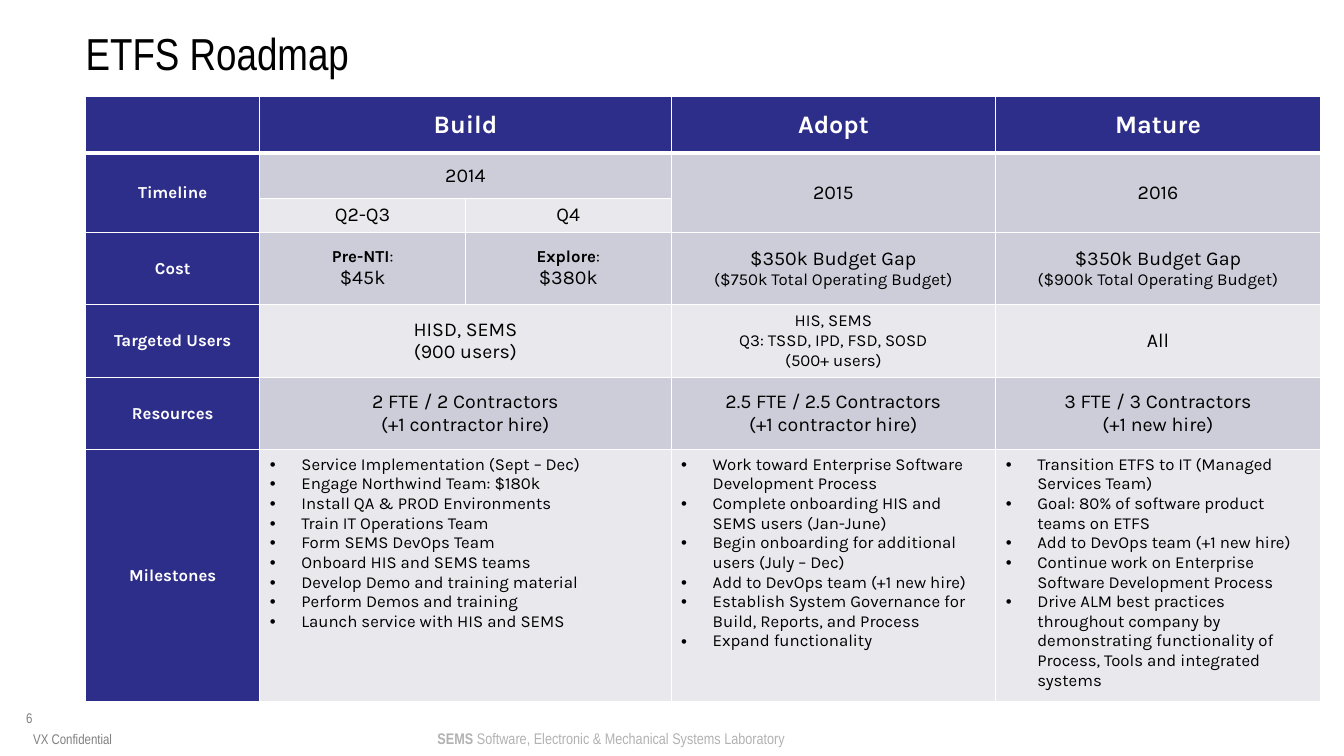
from lxml.etree import SubElement
from pptx import Presentation
from pptx.dml.color import RGBColor
from pptx.enum.text import MSO_ANCHOR, PP_ALIGN
from pptx.oxml.ns import qn
from pptx.util import Pt

NAVY = RGBColor(0x2D, 0x2D, 0x8A)
DARK = RGBColor(0xCD, 0xCD, 0xDA)
LIGHT = RGBColor(0xE8, 0xE8, 0xED)
WHITE = RGBColor(0xFF, 0xFF, 0xFF)
BLACK = RGBColor(0, 0, 0)
GRAY = RGBColor(0x80, 0x80, 0x80)
PALE = RGBColor(0xB2, 0xB2, 0xB2)
NARROW, KARLA = "Arial Narrow", "Karla"

COLS = [124.4, 146.9, 146.9, 231.9, 231.9]
ROWS = [40.3, 32.4, 21.6, 51.8, 51.8, 51.8, 159.1]
MERGES = [((0, 1), (0, 2)), ((1, 0), (2, 0)), ((1, 1), (1, 2)),
          ((1, 3), (2, 3)), ((1, 4), (2, 4)), ((4, 1), (4, 2)),
          ((5, 1), (5, 2)), ((6, 1), (6, 2))]

SMALL = {"size": 12}
STRONG = {"size": 12, "bold": True}


def cost(name, sum):
    return [[(name, STRONG), (":", SMALL)], sum]


def budget(total):
    return ["$350k Budget Gap", [(f"(${total}k Total Operating Budget)", SMALL)]]


HEADS = {
    (0, 1): "Build", (0, 3): "Adopt", (0, 4): "Mature",
    (1, 0): "Timeline", (3, 0): "Cost", (4, 0): "Targeted Users",
    (5, 0): "Resources", (6, 0): "Milestones",
}
FACTS = {
    (1, 1): ["2014"], (1, 3): ["2015"], (1, 4): ["2016"],
    (2, 1): ["Q2-Q3"], (2, 2): ["Q4"],
    (3, 1): cost("Pre-NTI", "$45k"),
    (3, 2): cost("Explore", "$380k"),
    (3, 3): budget(750),
    (3, 4): budget(900),
    (4, 1): ["HISD, SEMS", "(900 users)"],
    (4, 3): [[(line, SMALL)] for line in
             ("HIS, SEMS", "Q3: TSSD, IPD, FSD, SOSD", "(500+ users)")],
    (4, 4): ["All"],
    (5, 1): ["2 FTE / 2 Contractors", "(+1 contractor hire)"],
    (5, 3): ["2.5 FTE / 2.5 Contractors", "(+1 contractor hire)"],
    (5, 4): ["3 FTE / 3 Contractors", "(+1 new hire)"],
}
STEPS = {
    (6, 1): [
        "Service Implementation (Sept – Dec)",
        "Engage Northwind Team: $180k",
        "Install QA & PROD Environments",
        "Train IT Operations Team",
        "Form SEMS DevOps Team",
        "Onboard HIS and SEMS teams",
        "Develop Demo and training material",
        "Perform Demos and training",
        "Launch service with HIS and SEMS",
    ],
    (6, 3): [
        "Work toward Enterprise Software Development Process",
        "Complete onboarding HIS and SEMS users (Jan-June)",
        "Begin onboarding for additional users (July – Dec)",
        "Add to DevOps team (+1 new hire)",
        "Establish System Governance for Build, Reports, and Process",
        "Expand functionality",
    ],
    (6, 4): [
        "Transition ETFS to IT (Managed Services Team)",
        "Goal: 80% of software product teams on ETFS",
        "Add to DevOps team (+1 new hire)",
        "Continue work on Enterprise Software Development Process",
        "Drive ALM best practices throughout company by demonstrating "
        "functionality of Process, Tools and integrated systems",
    ],
}


def add_bullet(para):
    props = para._p.get_or_add_pPr()
    props.set("marL", str(Pt(22.5)))
    props.set("indent", str(-Pt(22.5)))
    SubElement(props, qn("a:buFont"), typeface="Arial")
    SubElement(props, qn("a:buChar"), char="•")


def write(frame, lines, size=14, color=BLACK, bold=False, font=KARLA,
          align=PP_ALIGN.CENTER, bullet=False):
    """Fill a frame; a line is a string or a list of (text, format) runs."""
    for i, line in enumerate(lines):
        para = frame.add_paragraph() if i else frame.paragraphs[0]
        para.alignment = align
        if bullet:
            add_bullet(para)
        for text, form in [(line, {})] if isinstance(line, str) else line:
            run = para.add_run()
            run.text = text
            run.font.name = font
            run.font.size = Pt(form.get("size", size))
            run.font.bold = form.get("bold", bold)
            run.font.color.rgb = color


def clear_frame(frame, wrap=True, anchor=MSO_ANCHOR.TOP):
    frame.margin_left = frame.margin_right = 0
    frame.margin_top = frame.margin_bottom = 0
    frame.word_wrap = wrap
    frame.vertical_anchor = anchor


def place(shape, left, top, width, height):
    shape.left, shape.top = Pt(left), Pt(top)
    shape.width, shape.height = Pt(width), Pt(height)


def add_label(slide, box, lines, wrap=True, anchor=MSO_ANCHOR.TOP, **form):
    frame = slide.shapes.add_textbox(*map(Pt, box)).text_frame
    clear_frame(frame, wrap, anchor)
    write(frame, lines, font=NARROW, **form)


def add_title(slide, text):
    title = slide.shapes.title
    place(title, 61.2, 18.7, 864, 41.8)
    clear_frame(title.text_frame)
    write(title.text_frame, [text], size=32, font=NARROW, align=PP_ALIGN.LEFT)


def add_border(cell, side, width):
    line = SubElement(cell._tc.get_or_add_tcPr(), qn(f"a:ln{side}"),
                      w=str(Pt(width)))
    fill = SubElement(line, qn("a:solidFill"))
    SubElement(fill, qn("a:srgbClr"), val=str(WHITE))


def style_cell(cell, row, col):
    top, low = 3 if row == 1 else 1, 3 if row == 0 else 1
    for side, width in zip("LRTB", (1, 1, top, low)):
        add_border(cell, side, width)
    cell.fill.solid()
    head = row == 0 or col == 0
    cell.fill.fore_color.rgb = NAVY if head else DARK if row % 2 else LIGHT
    cell.vertical_anchor = MSO_ANCHOR.MIDDLE


def add_roadmap(slide):
    table = slide.shapes.add_table(
        len(ROWS), len(COLS), Pt(61.2), Pt(69.1),
        Pt(sum(COLS)), Pt(sum(ROWS))).table
    table.horz_banding = False
    for col, width in zip(table.columns, COLS):
        col.width = Pt(width)
    for row, height in zip(table.rows, ROWS):
        row.height = Pt(height)
    for i in range(len(ROWS)):
        for j in range(len(COLS)):
            style_cell(table.cell(i, j), i, j)
    for first, last in MERGES:
        table.cell(*first).merge(table.cell(*last))
    for spot, text in HEADS.items():
        write(table.cell(*spot).text_frame, [text], color=WHITE, bold=True,
              size=12 if spot[0] else 18)
    for spot, lines in FACTS.items():
        write(table.cell(*spot).text_frame, lines)
    for spot, lines in STEPS.items():
        cell = table.cell(*spot)
        cell.vertical_anchor = MSO_ANCHOR.TOP
        write(cell.text_frame, lines, size=12, align=PP_ALIGN.LEFT, bullet=True)


def main():
    deck = Presentation()
    deck.slide_width, deck.slide_height = Pt(960), Pt(540)
    slide = deck.slides.add_slide(deck.slide_layouts[5])
    add_label(slide, (18.7, 506.9, 51.1, 18), ["6"], size=10, color=GRAY,
              align=PP_ALIGN.LEFT)
    add_label(slide, (312.5, 520.6, 252, 13.7),
              [[("SEMS", {"bold": True}),
                (" Software, Electronic & Mechanical Systems Laboratory", {})]],
              wrap=False, size=11, color=PALE, align=PP_ALIGN.LEFT)
    add_label(slide, (7.9, 517.7, 87.8, 15.8), ["VX Confidential"],
              anchor=MSO_ANCHOR.BOTTOM, size=10, color=GRAY)
    add_title(slide, "ETFS Roadmap")
    add_roadmap(slide)
    deck.save("out.pptx")


if __name__ == "__main__":
    main()
